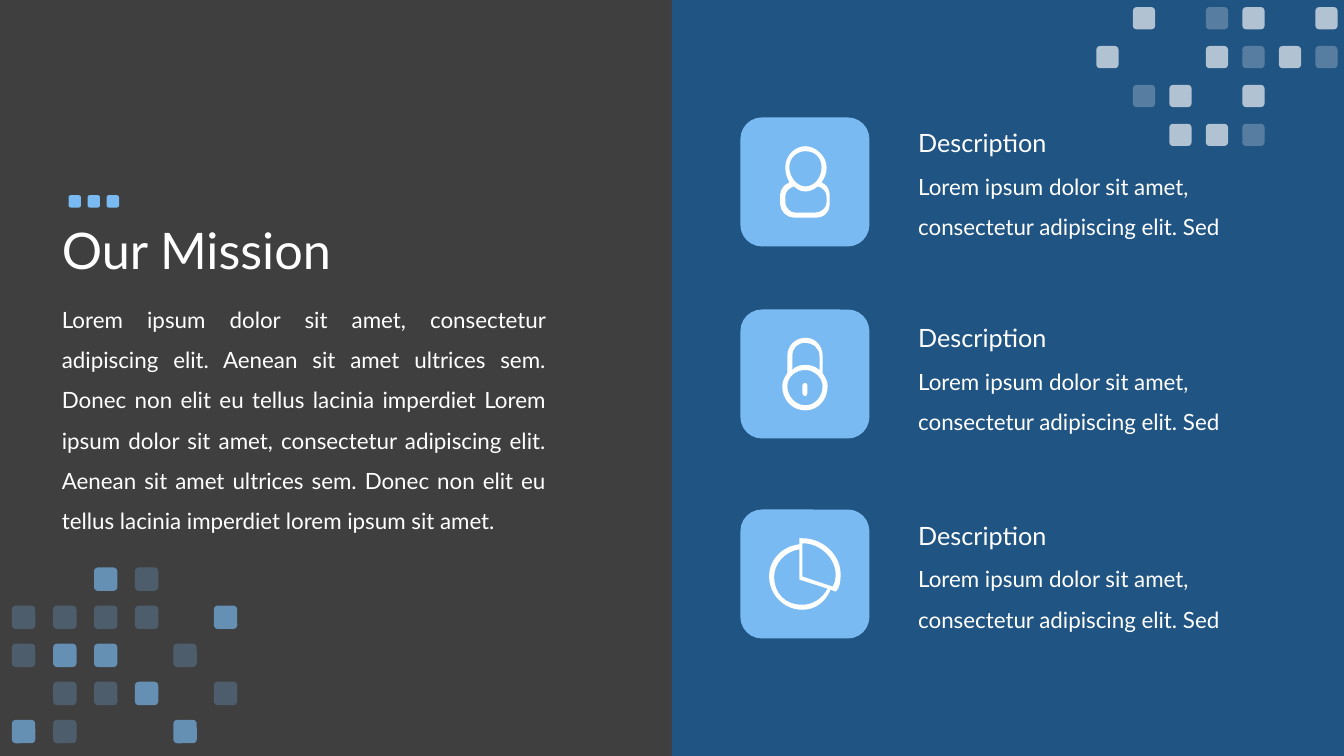
"""Build the "Our Mission" slide with three described icons."""
from pptx import Presentation
from pptx.dml.color import RGBColor
from pptx.enum.shapes import MSO_SHAPE as Preset
from pptx.enum.text import MSO_ANCHOR as Anchor, MSO_AUTO_SIZE as AutoSize, PP_ALIGN as Align
from pptx.oxml.ns import qn
from pptx.oxml.xmlchemy import OxmlElement
from pptx.util import Cm, Pt

COLORS = {"background": "3F3F3F", "panel": "1060A6", "accent": "7ABAF2", "white": "FFFFFF"}
OPACITY = {"#": 65, "o": 25}
TOP_PATTERN = [".#.o#.#", "#..#o#o", ".o#.#..", "..##o.."]
BOTTOM_PATTERN = ["..#o..", "oooo.#", "o##.o.", ".oo#.o", "#o..#."]
DOTS_PATTERN = ["###"]
TOP_COLUMNS = [27.63 + 0.92 * column for column in range(7)]
BOTTOM_COLUMNS = [0.3, 1.34, 2.37, 3.4, 4.37, 5.39]
DOTS_COLUMNS = [1.73, 2.21, 2.69]
ICON_UNIT = 0.0254

MISSION = (
    "Lorem ipsum dolor sit amet, consectetur adipiscing elit. Aenean sit amet ultrices sem. "
    "Donec non elit eu tellus lacinia imperdiet Lorem ipsum dolor sit amet, consectetur "
    "adipiscing elit. Aenean sit amet ultrices sem. Donec non elit eu tellus lacinia imperdiet "
    "lorem ipsum sit amet."
)
DETAIL = "Lorem ipsum dolor sit amet, consectetur adipiscing elit. Sed"

PERSON = [
    "41 36|44 31 46 28 46 21|46 10 35 0 25 0|14 0 5 10 5 21|5 28 7 31 9 36|4 38 0 43 0 48"
    "|0 58|0 65 7 71 14 71|35 71|44 71 49 65 49 58|49 48|49 43 46 38 41 36",
    "9 21|9 11 17 5 25 5|34 5 41 11 41 21|41 31 34 40 25 40|17 40 9 31 9 21",
    "46 56|46 61 41 66 34 66|15 66|10 66 5 61 5 56|5 50|5 45 9 41 14 40|17 43 20 45 25 45"
    "|29 45 34 43 37 40|42 41 46 45 46 50",
]
LOCK = [
    "23 45|22 45 20 45 20 47|20 55|20 57 22 58 23 58|23 58 25 57 25 55|25 47|25 45 23 45 23 45",
    "40 35|40 18|40 8 33 0 23 0|13 0 5 8 5 18|5 35|2 40 0 43 0 48|0 62 10 72 23 72"
    "|35 72 45 62 45 48|45 43 43 40 40 35",
    "10 18|10 10 15 5 23 5|30 5 37 10 37 18|37 32|32 28 28 27 23 27|18 27 13 28 10 32",
    "23 67|13 67 5 58 5 48|5 39 13 32 23 32|32 32 40 40 40 48|40 58 33 67 23 67",
]
PIE = [
    "33 0|30 0|30 6|13 8 0 21 0 38|0 56 15 71 33 71|46 71 56 63 61 51|66 53"
    "|70 50 71 43 71 36|71 16 53 0 33 0",
    "33 66|16 66 5 55 5 38|5 25 16 13 30 11|30 41|58 50|53 60 43 66 33 66",
    "63 48|33 38|33 5|51 5 66 20 66 36|66 41 65 45 63 48",
]
ITEMS = [(2.96, 3.09, PERSON), (7.8, 8.01, LOCK), (12.84, 12.99, PIE)]


def paint(shape, color, opacity=100):
    """Give a shape a plain fill without line or shadow."""
    shape.shadow.inherit = False
    shape.fill.solid()
    shape.fill.fore_color.rgb = RGBColor.from_string(COLORS[color])
    shape.line.fill.background()
    if opacity < 100:
        alpha = OxmlElement("a:alpha")
        alpha.set("val", str(opacity * 1000))
        shape.element.spPr.find(".//" + qn("a:srgbClr")).append(alpha)


def add_block(shapes, preset, box, color, opacity=100):
    """Add a filled preset shape at a box in centimetres."""
    shape = shapes.add_shape(preset, *map(Cm, box))
    paint(shape, color, opacity)


def add_text(slide, text, box, size, frame_values=None, paragraph_values=None):
    """Add a wrapped white text box."""
    frame = slide.shapes.add_textbox(*map(Cm, box)).text_frame
    paragraph = frame.paragraphs[0]
    paragraph.text = text
    formats = [
        (frame, {"word_wrap": True, "auto_size": AutoSize.SHAPE_TO_FIT_TEXT, **(frame_values or {})}),
        (paragraph, paragraph_values or {}),
        (paragraph.runs[0].font, {"name": "Lato", "size": Pt(size)}),
    ]
    for target, values in formats:
        for name, value in values.items():
            setattr(target, name, value)
    paragraph.runs[0].font.color.rgb = RGBColor.from_string(COLORS["white"])


def add_mosaic(slide, pattern, columns, top, pitch, size, color, opacity):
    """Add a group of small squares laid out by a text pattern."""
    group = slide.shapes.add_group_shape()
    for row, marks in enumerate(pattern):
        for left, mark in zip(columns, marks):
            if mark != ".":
                box = (left, top + row * pitch, size, size)
                add_block(group.shapes, Preset.ROUNDED_RECTANGLE, box, color, opacity[mark])


def read_segments(outline):
    """Split an outline into segments of one point or three curve points."""
    unit = Cm(ICON_UNIT)
    segments = []
    for segment in outline.split("|"):
        numbers = [int(number) * unit for number in segment.split()]
        segments.append(list(zip(numbers[::2], numbers[1::2])))
    return segments


def bend(icon, segments):
    """Merge the lines of each three-point segment into one cubic curve."""
    lines = iter(list(icon.element.iter(qn("a:lnTo"))))
    for segment in segments:
        parts = [next(lines) for _ in segment]
        if len(parts) == 3:
            curve = OxmlElement("a:cubicBezTo")
            parts[0].addprevious(curve)
            for part in parts:
                curve.append(part[0])
                part.getparent().remove(part)


def add_icon(slide, outlines, center_x, center_y):
    """Add a white icon centred on a point in centimetres."""
    contours = [read_segments(outline) for outline in outlines]
    points = [point for contour in contours for segment in contour for point in segment]
    builder = slide.shapes.build_freeform(*points[0], scale=1.0)
    for index, (start, *segments) in enumerate(contours):
        if index:
            builder.move_to(*start[0])
        builder.add_line_segments([point for segment in segments for point in segment], close=True)
    width, height = (max(point[axis] for point in points) for axis in (0, 1))
    icon = builder.convert_to_shape(round(Cm(center_x) - width / 2), round(Cm(center_y) - height / 2))
    bend(icon, [segment for contour in contours for segment in contour[1:]])
    paint(icon, "white")


def add_item(slide, tile_top, text_top, icon):
    """Add an icon tile with its heading and detail."""
    left, size = 18.66, 3.25
    add_block(slide.shapes, Preset.ROUNDED_RECTANGLE, (left, tile_top, size, size), "accent")
    add_icon(slide, icon, left + size / 2, tile_top + size / 2)
    add_text(slide, DETAIL, (22.89, text_top + 0.8, 10.1, 2.18), 16, None, {"line_spacing": 1.5})
    add_text(slide, "Description", (22.89, text_top, 5.97, 1.02), 18)


def main():
    """Build and save the slide."""
    presentation = Presentation()
    presentation.slide_width, presentation.slide_height = Cm(33.87), Cm(19.05)
    slide = presentation.slides.add_slide(presentation.slide_layouts[6])
    slide.background.fill.solid()
    slide.background.fill.fore_color.rgb = RGBColor.from_string(COLORS["background"])
    add_block(slide.shapes, Preset.RECTANGLE, (16.93, 0, 16.94, 19.05), "panel", 65)
    add_text(slide, "Our Mission", (1.31, 4.27, 29.21, 4.24), 36,
             {"auto_size": AutoSize.NONE, "vertical_anchor": Anchor.MIDDLE}, {"line_spacing": 0.9})
    add_text(slide, MISSION, (1.31, 7.25, 12.7, 6.27), 16, None,
             {"alignment": Align.JUSTIFY, "line_spacing": 1.5})
    for item in ITEMS:
        add_item(slide, *item)
    add_mosaic(slide, DOTS_PATTERN, DOTS_COLUMNS, 4.92, 0, 0.31, "accent", {"#": 100})
    add_mosaic(slide, TOP_PATTERN, TOP_COLUMNS, 0.18, 0.98, 0.56, "white", OPACITY)
    add_mosaic(slide, BOTTOM_PATTERN, BOTTOM_COLUMNS, 14.3, 0.96, 0.59, "accent", OPACITY)
    presentation.save("out.pptx")


if __name__ == "__main__":
    main()
